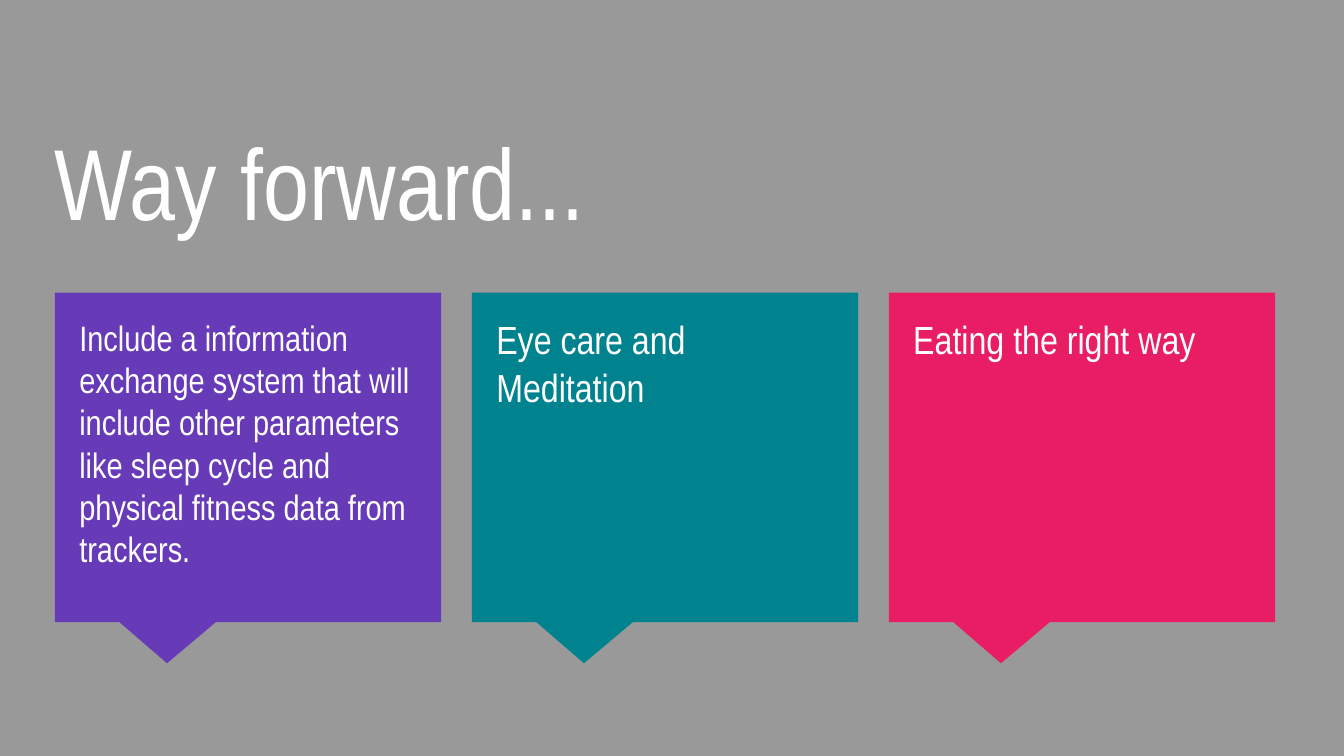
from pptx import Presentation
from pptx import util as u
from pptx.dml.color import RGBColor
from pptx.enum import shapes, text


def color(hex_value):
    return RGBColor.from_string(hex_value)


def add_text(page, words, bounds, size, anchor, space_after=0):
    box = page.shapes.add_textbox(*[u.Cm(length) for length in bounds])
    frame_format = {"word_wrap": True, "vertical_anchor": anchor}
    for side in ("left", "top", "right", "bottom"):
        frame_format[f"margin_{side}"] = u.Cm(0.25)
    for name, value in frame_format.items():
        setattr(box.text_frame, name, value)

    para = box.text_frame.paragraphs[0]
    para.space_after = u.Pt(space_after)
    span = para.add_run()
    span.text = words
    for name, value in {"name": "Arial Narrow", "size": u.Pt(size)}.items():
        setattr(span.font, name, value)
    span.font.color.rgb = color("FFFFFF")


deck = Presentation()
deck.slide_width, deck.slide_height = u.Cm(25.4), u.Cm(14.29)
page = deck.slides.add_slide(deck.slide_layouts[6])
page.background.fill.solid()
page.background.fill.fore_color.rgb = color("999999")

add_text(page, "Way forward...", (0.79, 1.98, 23.95, 2.84), 54,
         text.MSO_ANCHOR.MIDDLE)

cards = [
    ("673AB7", 18.9, "Include a information exchange system that will include "
     "other parameters like sleep cycle and physical fitness data from trackers."),
    ("00838F", 21, "Eye care and Meditation"),
    ("E91D63", 21, "Eating the right way"),
]
first_left, pitch = 1.04, 7.88

for index, (fill, size, words) in enumerate(cards):
    left = first_left + index * pitch
    callout = page.shapes.add_shape(
        shapes.MSO_SHAPE.RECTANGULAR_CALLOUT,
        u.Cm(left), u.Cm(5.53), u.Cm(7.3), u.Cm(6.23))
    callout.adjustments[0] = -0.21
    callout.adjustments[1] = 0.625
    callout.shadow.inherit = False
    callout.fill.solid()
    callout.fill.fore_color.rgb = color(fill)
    callout.line.fill.background()
    add_text(page, words, (left + 0.21, 5.72, 6.88, 5.56), size,
             text.MSO_ANCHOR.TOP, space_after=12)

deck.save("out.pptx")
